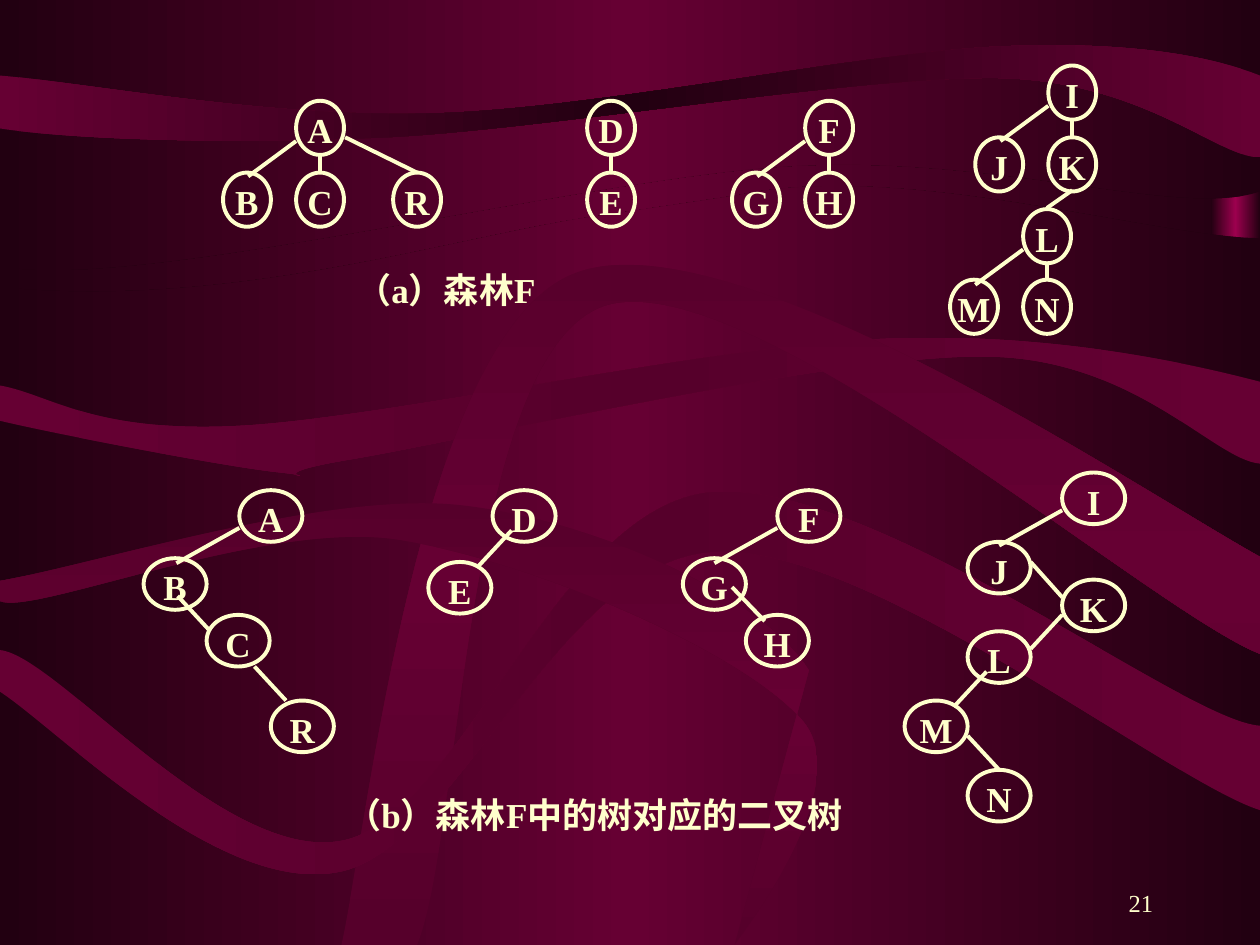
"""Builds the slide with a forest and its binary trees over ribbons."""
import copy
from dataclasses import dataclass
from typing import Any

import pptx
import pptx.dml.color
import pptx.enum.shapes
import pptx.enum.text
import pptx.oxml
import pptx.oxml.ns
import pptx.util

Inches = pptx.util.Inches
Pt = pptx.util.Pt
Align = pptx.enum.text.PP_ALIGN
Anchor = pptx.enum.text.MSO_ANCHOR
Shape = pptx.enum.shapes.MSO_SHAPE
qn = pptx.oxml.ns.qn


@dataclass(frozen=True)
class Theme:
    dark: str = "220011"
    wine: str = "660033"
    plum: str = "56002B"
    rose: str = "9C004E"
    cream: str = "FFFFCC"
    font: str = "Times New Roman"
    label: int = 20
    number: int = 14
    stroke: float = 2.25


@dataclass(frozen=True)
class Ribbon:
    start: tuple[float, float]
    steps: list[tuple[float, ...]]
    edge: str
    core: str
    angle: int = 0


@dataclass(frozen=True)
class Link:
    x: float
    y: float
    run: float
    drop: float


@dataclass(frozen=True)
class Node:
    name: str
    x: float
    y: float
    links: tuple[Link, ...] = ()


@dataclass(frozen=True)
class Label:
    text: str
    box: tuple[float, float, float, float]
    size: int
    bold: bool
    align: Any
    anchor: Any


THEME = Theme()
DARK, WINE, PLUM = THEME.dark, THEME.wine, THEME.plum

RIBBONS = [
    Ribbon((0, 0), [(10, 0), (10, 1.52), (9.38, 1.74, 7.92, 1.22, 6.25, 1.32),
                    (4.58, 1.42, 1.04, 2.33, 0, 2.11)], DARK, WINE),
    Ribbon((0, 2.28), [(1.78, 2.45, 3.4, 1.94, 4.58, 1.74), (4.58, 1.74, 5.67, 1.58, 5.86, 1.55),
                       (7.15, 1.27, 9.17, 1.89, 10, 1.89), (10, 7.5), (0, 7.5)], DARK, WINE),
    Ribbon((0, 0.6), [(0, 1.02), (0.51, 1.1, 1.76, 1.15, 3.08, 1.09),
                      (4.4, 1.02, 6.79, 0.6, 7.94, 0.62), (9.09, 0.65, 9.66, 1.25, 10, 1.25),
                      (10, 0.6), (9.65, 0.46, 9.01, 0.32, 7.92, 0.37),
                      (6.82, 0.42, 4.77, 0.86, 3.45, 0.9), (2.13, 0.94, 0.72, 0.66, 0, 0.6)],
           WINE, DARK),
    Ribbon((0, 3.06), [(0, 3.34), (0.37, 3.43, 1.75, 3.7, 2.22, 3.75),
                       (2.69, 3.8, 1.9, 3.79, 2.82, 3.64), (3.75, 3.48, 6.6, 2.82, 7.8, 2.83),
                       (9, 2.83, 9.63, 3.65, 10, 3.68), (10, 3.03),
                       (9.5, 2.9, 8.36, 2.63, 7.01, 2.69), (5.66, 2.74, 3.07, 3.32, 1.9, 3.38),
                       (0.73, 3.44, 0.4, 3.13, 0, 3.06)], WINE, PLUM),
    Ribbon((2.71, 7.5), [(2.91, 6.61, 3.32, 2.69, 4.54, 2.18), (5.75, 1.66, 9.09, 3.92, 10, 4.42),
                         (10, 5.19), (9.13, 4.85, 5.91, 2.05, 4.79, 2.43),
                         (3.68, 2.82, 3.66, 6.66, 3.31, 7.5)], PLUM, WINE, 90),
    Ribbon((0, 5.16), [(0, 5.49), (0.45, 5.78, 1.74, 7.11, 2.69, 6.92),
                       (3.63, 6.74, 4.43, 4.46, 5.65, 4.38), (6.87, 4.29, 9.27, 6.2, 10, 6.43),
                       (10, 5.76), (9.38, 5.72, 6.91, 3.77, 5.62, 3.91),
                       (4.41, 4.06, 3.67, 6.46, 2.73, 6.67), (1.79, 6.87, 0.45, 5.2, 0, 5.16)],
           WINE, PLUM),
    Ribbon((0, 4.61), [(0, 4.77), (0.26, 4.89, 2.08, 4.13, 3.14, 4.28),
                       (4.2, 4.44, 5.92, 5.18, 6.37, 5.72), (6.82, 6.25, 5.82, 7.5, 5.83, 7.5),
                       (6.42, 5.32), (6.06, 4.74, 4.73, 4.13, 3.66, 4.01),
                       (2.59, 3.89, 0.76, 4.48, 0, 4.61)], PLUM, WINE, 90),
]

SIDE = Link(0, 0.32, -0.38, 0.28)
DOWN = Link(0.19, 0.43, 0, 0.14)
FOREST = [
    Node("A", 2.35, 0.8, (SIDE, DOWN, Link(0.39, 0.29, 0.57, 0.28))),
    Node("B", 1.77, 1.37), Node("C", 2.35, 1.37), Node("R", 3.12, 1.37),
    Node("F", 6.39, 0.8, (SIDE, DOWN)), Node("G", 5.81, 1.37), Node("H", 6.39, 1.37),
    Node("D", 4.66, 0.8, (DOWN,)), Node("E", 4.66, 1.37),
    Node("I", 8.32, 0.52, (SIDE, DOWN)), Node("J", 7.74, 1.09),
    Node("K", 8.32, 1.09, (Link(0.19, 0.42, -0.2, 0.14),)),
    Node("L", 8.12, 1.66, (SIDE, DOWN)), Node("M", 7.54, 2.22), Node("N", 8.12, 2.22),
]

CHILD = Link(0, 0.3, -0.5, 0.28)
STEEP = Link(0.15, 0.32, -0.26, 0.28)
BINARY = [
    Node("A", 1.9, 3.89, (CHILD,)), Node("B", 1.14, 4.43, (Link(0.27, 0.3, 0.25, 0.27),)),
    Node("C", 1.64, 4.88, (Link(0.38, 0.41, 0.25, 0.27),)), Node("R", 2.15, 5.56),
    Node("F", 6.17, 3.89, (CHILD,)), Node("G", 5.42, 4.43, (Link(0.39, 0.23, 0.26, 0.27),)),
    Node("H", 5.92, 4.88), Node("D", 3.91, 3.89, (STEEP,)), Node("E", 3.4, 4.46),
    Node("I", 8.43, 3.75, (CHILD,)), Node("J", 7.68, 4.3, (Link(0.5, 0.16, 0.25, 0.28),)),
    Node("K", 8.43, 4.6, (Link(0, 0.28, -0.25, 0.27),)), Node("L", 7.68, 5.01, (STEEP,)),
    Node("M", 7.18, 5.56, (Link(0.5, 0.28, 0.25, 0.27),)), Node("N", 7.68, 6.11),
]

LABELS = [
    Label("21", (7.17, 6.83, 2.08, 0.5), THEME.number, False, Align.RIGHT, Anchor.BOTTOM),
    Label("（a）森林F", (2.73, 2.08, 2.89, 0.57), THEME.label, True, Align.JUSTIFY, Anchor.TOP),
    Label("（b）森林F中的树对应的二叉树", (2.65, 6.25, 5.03, 0.41), THEME.label, True,
          Align.JUSTIFY, Anchor.TOP),
]


def color(code: str) -> Any:
    return pptx.dml.color.RGBColor.from_string(code)


def blend(owner: Any, fill: Any, edge: str, core: str, angle: int = 0) -> None:
    fill.gradient()
    fill.gradient_angle = angle
    stops = next(owner.element.iter(qn("a:gsLst")))
    stops.append(copy.deepcopy(stops[0]))
    for stop, place, code in zip(fill.gradient_stops, (0, 0.5, 1), (edge, core, edge)):
        stop.position = place
        stop.color.rgb = color(code)


def paint(shape: Any, edge: str, core: str, angle: int = 0) -> None:
    blend(shape, shape.fill, edge, core, angle)
    shape.line.fill.background()
    shape.shadow.inherit = False


def weave(shapes: Any, ribbon: Ribbon) -> None:
    form = shapes.build_freeform(*map(Inches, ribbon.start))
    for step in ribbon.steps:
        spots = [Inches(value) for value in step]
        form.add_line_segments(list(zip(spots[::2], spots[1::2])), close=False)
    shape = form.convert_to_shape()
    outline = next(shape.element.iter(qn("a:path")))
    legs = iter(outline.findall(qn("a:lnTo")))
    for step in ribbon.steps:
        first, *others = [next(legs) for _ in step[::2]]
        if others:
            first.tag = qn("a:cubicBezTo")
        for other in others:
            first.append(other[0])
            outline.remove(other)
    outline.append(pptx.oxml.parse_xml(f'<a:close {pptx.oxml.ns.nsdecls("a")}/>'))
    paint(shape, ribbon.edge, ribbon.core, ribbon.angle)


def write(frame: Any, text: str, size: int, bold: bool, align: Any, anchor: Any) -> None:
    frame.word_wrap = True
    frame.vertical_anchor = anchor
    para = frame.paragraphs[0]
    para.alignment = align
    run = para.add_run()
    run.text = text
    run.font.name = THEME.font
    run.font.size = Pt(size)
    run.font.bold = bold
    run.font.color.rgb = color(THEME.cream)


def ink(line: Any) -> None:
    line.color.rgb = color(THEME.cream)
    line.width = Pt(THEME.stroke)


def draw(shapes: Any, nodes: list[Node], wide: float, high: float) -> None:
    for node in nodes:
        oval = shapes.add_shape(Shape.OVAL, *map(Inches, (node.x, node.y, wide, high)))
        oval.fill.background()
        oval.shadow.inherit = False
        ink(oval.line)
        frame = oval.text_frame
        frame.margin_left = frame.margin_right = frame.margin_top = frame.margin_bottom = 0
        write(frame, node.name, THEME.label, True, Align.CENTER, Anchor.TOP)
        for link in node.links:
            x, y = node.x + link.x, node.y + link.y
            line = shapes.add_connector(pptx.enum.shapes.MSO_CONNECTOR.STRAIGHT,
                                        *map(Inches, (x, y, x + link.run, y + link.drop)))
            ink(line.line)
            line.element.spPr.append(pptx.oxml.parse_xml(
                f'<a:effectLst {pptx.oxml.ns.nsdecls("a")}/>'))


def main() -> None:
    deck = pptx.Presentation()
    deck.slide_width, deck.slide_height = Inches(10), Inches(7.5)
    slide = deck.slides.add_slide(deck.slide_layouts[6])
    shapes = slide.shapes
    blend(slide, slide.background.fill, DARK, WINE)
    band = shapes.add_shape(Shape.RECTANGLE, *map(Inches, (9.61, 0.49, 0.39, 3.45)))
    paint(band, DARK, THEME.rose)
    for ribbon in RIBBONS:
        weave(shapes, ribbon)
    draw(shapes, FOREST, 0.38, 0.43)
    draw(shapes, BINARY, 0.5, 0.41)
    for label in LABELS:
        box = shapes.add_textbox(*map(Inches, label.box))
        write(box.text_frame, label.text, label.size, label.bold, label.align, label.anchor)
    deck.save("out.pptx")


if __name__ == "__main__":
    main()
